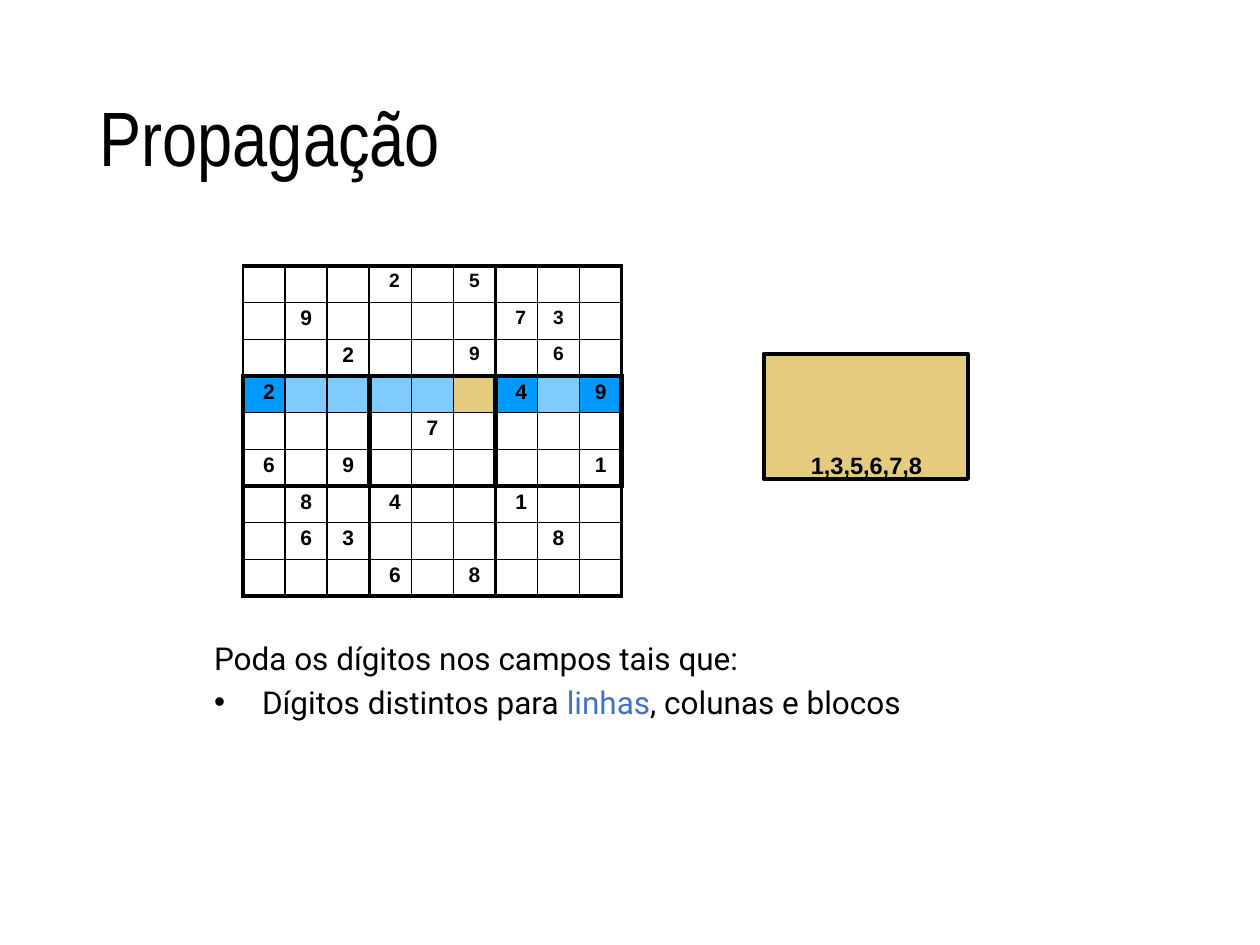
from dataclasses import dataclass

from lxml.etree import SubElement
from pptx import Presentation
from pptx.dml.color import RGBColor
from pptx.enum.shapes import MSO_SHAPE
from pptx.enum.text import MSO_ANCHOR, MSO_AUTO_SIZE, PP_ALIGN
from pptx.oxml.ns import qn
from pptx.util import Emu, Pt

PIXELS_PER_INCH = 126
COLORS = {
    "black": "000000",
    "given": "0099FF",
    "row": "7FCBFF",
    "target": "E5CB7F",
    "gold": "CC9900",
    "accent": "4472C4",
}
PUZZLE = (
    "...2.5...",
    ".9....73.",
    "..2..9.6.",
    "2.....4.9",
    "....7....",
    "6.9.....1",
    ".8.4..1..",
    ".63....8.",
    "...6.8...",
)
SIZE = len(PUZZLE)
ACTIVE_ROW = 3
TARGET_COLUMN = 5
THIN = 1
BAND_WIDTHS = (1.5, 3, 2.25)
BLOCK_EDGES = {0: 2.25, 3: 3, 6: 3, 9: 2.25}


@dataclass(frozen=True)
class Box:
    left: int
    top: int
    width: int
    height: int

    def emu(self) -> tuple[Emu, ...]:
        return tuple(px(n) for n in (self.left, self.top, self.width, self.height))


@dataclass(frozen=True)
class Span:
    text: str
    color: str = "black"


def px(length: int) -> Emu:
    return Emu(round(length * 914400 / PIXELS_PER_INCH))


def rgb(name: str) -> RGBColor:
    return RGBColor.from_string(COLORS[name])


def place(shape, box: Box) -> None:
    shape.left, shape.top, shape.width, shape.height = box.emu()


def style_font(font, name: str, size: float, bold: bool = False) -> None:
    font.name, font.size, font.bold = name, Pt(size), bold
    font.color.rgb = rgb("black")


def set_margins(target, vertical: int) -> None:
    target.margin_left = target.margin_right = 0
    target.margin_top = target.margin_bottom = px(vertical)


def set_indent(para, margin: int, indent: int = 0) -> None:
    properties = para._p.get_or_add_pPr()
    properties.set("marL", str(px(margin)))
    properties.set("indent", str(px(indent)))


def add_border(cell, side: str, width: float) -> None:
    line = SubElement(cell._tc.get_or_add_tcPr(), qn(f"a:ln{side}"), w=str(Pt(width)))
    fill = SubElement(line, qn("a:solidFill"))
    SubElement(fill, qn("a:srgbClr"), val=COLORS["black"])


def border_widths(row: int, column: int) -> dict[str, float]:
    band = BAND_WIDTHS[row // 3]
    return {
        "L": band if column % 3 == 0 else THIN,
        "R": band if column % 3 == 2 else THIN,
        "T": BLOCK_EDGES.get(row, THIN),
        "B": BLOCK_EDGES.get(row + 1, THIN),
    }


def fill_cell(cell, row: int, column: int, digit: str) -> None:
    for side, width in border_widths(row, column).items():
        add_border(cell, side, width)
    if row == ACTIVE_ROW:
        name = "target" if column == TARGET_COLUMN else "row" if digit == "." else "given"
        cell.fill.solid()
        cell.fill.fore_color.rgb = rgb(name)
    else:
        cell.fill.background()
    set_margins(cell, 0)
    para = cell.text_frame.paragraphs[0]
    if digit == ".":
        SubElement(para._p, qn("a:endParaRPr"), sz="1100")
        return
    cell.margin_top = px(4)
    para.text = digit
    para.space_before = Pt(3.2)
    if column % 3 == 0:
        set_indent(para, 20)
    else:
        para.alignment = PP_ALIGN.CENTER
    style_font(para.font, "Arial", 11 if row < 3 <= column else 12, True)


def add_puzzle(page, box: Box) -> None:
    table = page.shapes.add_table(SIZE, SIZE, *box.emu()).table
    table.first_row = table.horz_banding = False
    for column in table.columns:
        column.width = px(box.width) // SIZE
    for row in table.rows:
        row.height = px(box.height) // SIZE
    for row, digits in enumerate(PUZZLE):
        for column, digit in enumerate(digits):
            fill_cell(table.cell(row, column), row, column, digit)


def add_candidates(page, box: Box, text: str) -> None:
    shape = page.shapes.add_shape(MSO_SHAPE.RECTANGLE, *box.emu())
    shape.shadow.inherit = False
    shape.fill.solid()
    shape.fill.fore_color.rgb = rgb("gold")
    color = shape._element.spPr.find(qn("a:solidFill")).find(qn("a:srgbClr"))
    SubElement(color, qn("a:alpha"), val="50000")
    shape.line.color.rgb = rgb("black")
    shape.line.width = Pt(2.28)
    frame = shape.text_frame
    set_margins(frame, 0)
    frame.vertical_anchor = MSO_ANCHOR.BOTTOM
    para = frame.paragraphs[0]
    para.text = text
    para.alignment = PP_ALIGN.LEFT
    set_indent(para, 47)
    style_font(para.font, "Arial", 13.5, True)


def set_title(title, box: Box, text: str) -> None:
    place(title, box)
    title.text_frame.vertical_anchor = MSO_ANCHOR.MIDDLE
    para = title.text_frame.paragraphs[0]
    para.text = text
    para.alignment = PP_ALIGN.LEFT
    para.line_spacing = 0.9
    style_font(para.font, "Arial Narrow", 44)


def write_line(para, spans: list[Span], bullet: bool) -> None:
    para.space_before = Pt(3.4)
    if bullet:
        set_indent(para, 49, -48)
        SubElement(para._p.get_or_add_pPr(), qn("a:buChar"), char="•")
    else:
        set_indent(para, 1)
        SubElement(para._p.get_or_add_pPr(), qn("a:buNone"))
    style_font(para.font, "Roboto", 18)
    for span in spans:
        run = para.add_run()
        run.text = span.text
        run.font.color.rgb = rgb(span.color)


def set_body(body, box: Box) -> None:
    place(body, box)
    frame = body.text_frame
    frame.auto_size = MSO_AUTO_SIZE.NONE
    set_margins(frame, 6)
    write_line(frame.paragraphs[0], [Span("Poda os dígitos nos campos tais que:")], False)
    rule = [Span("Dígitos distintos para "), Span("linhas", "accent"), Span(", colunas e blocos")]
    write_line(frame.add_paragraph(), rule, True)


def main() -> None:
    deck = Presentation()
    deck.slide_width, deck.slide_height = px(1260), px(945)
    page = deck.slides.add_slide(deck.slide_layouts[1])
    set_title(page.shapes.title, Box(87, 50, 1086, 183), "Propagação")
    set_body(page.placeholders[1], Box(213, 633, 786, 88))
    add_puzzle(page, Box(243, 266, 379, 330))
    add_candidates(page, Box(764, 354, 204, 125), "1,3,5,6,7,8")
    deck.save("out.pptx")


if __name__ == "__main__":
    main()
